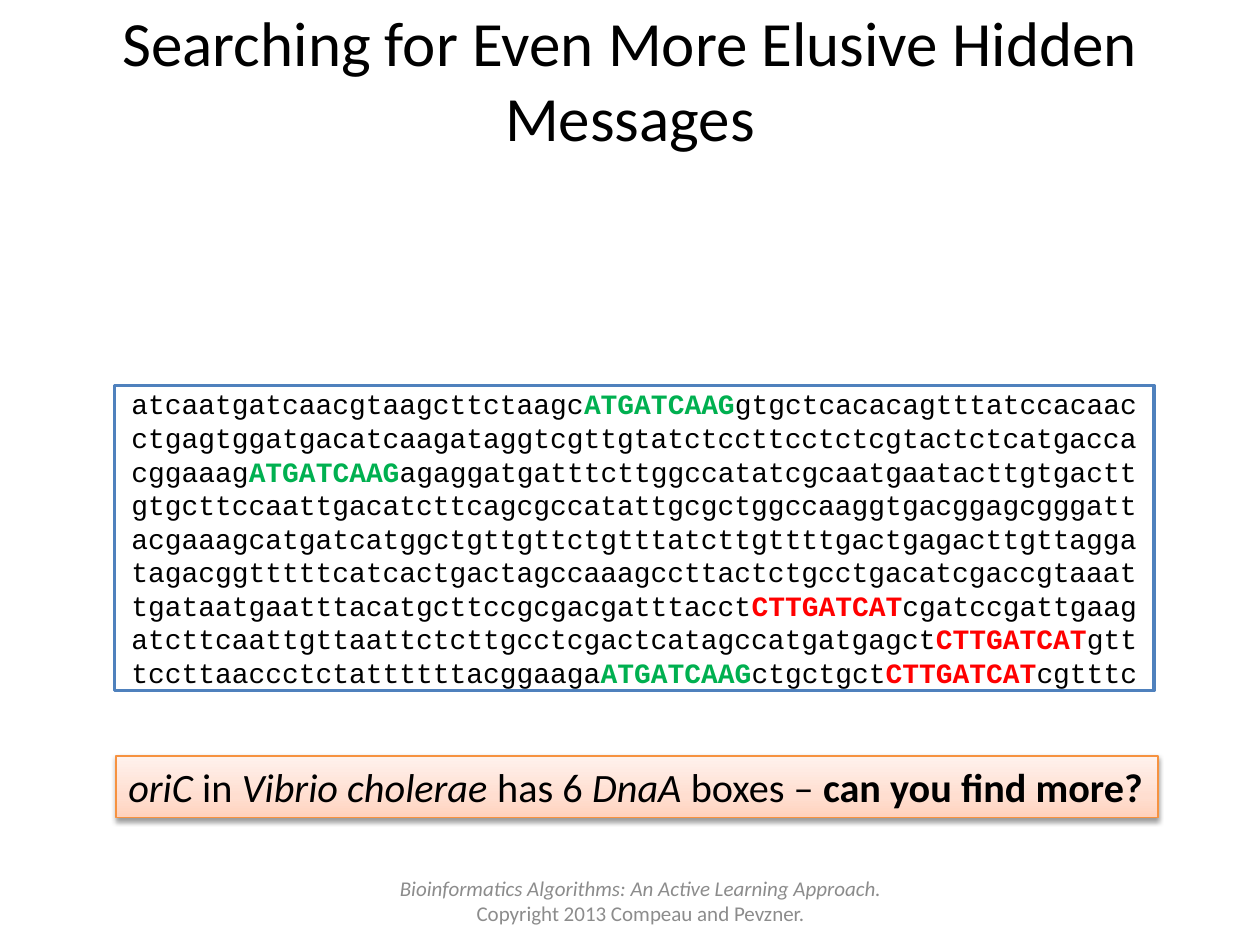
from copy import deepcopy
from itertools import groupby

from lxml import etree
from pptx import Presentation
from pptx.dml.color import RGBColor
from pptx.enum.shapes import MSO_SHAPE as Shape
from pptx.enum.text import MSO_ANCHOR as Anchor, PP_ALIGN as Align
from pptx.oxml.ns import qn
from pptx.util import Inches, Pt

SEQUENCE = """
atcaatgatcaacgtaagcttctaagcATGATCAAGgtgctcacacagtttatccacaac
ctgagtggatgacatcaagataggtcgttgtatctccttcctctcgtactctcatgacca
cggaaagATGATCAAGagaggatgatttcttggccatatcgcaatgaatacttgtgactt
gtgcttccaattgacatcttcagcgccatattgcgctggccaaggtgacggagcgggatt
acgaaagcatgatcatggctgttgttctgtttatcttgttttgactgagacttgttagga
tagacggtttttcatcactgactagccaaagccttactctgcctgacatcgaccgtaaat
tgataatgaatttacatgcttccgcgacgatttacctCTTGATCATcgatccgattgaag
atcttcaattgttaattctcttgcctcgactcatagccatgatgagctCTTGATCATgtt
tccttaaccctctattttttacggaagaATGATCAAGctgctgctCTTGATCATcgtttc
""".split()
MOTIF_COLORS = {"ATGATCAAG": "00B050", "CTTGATCAT": "FF0000"}


def color(value):
    return RGBColor.from_string(value)


def add_run(paragraph, text, ink, **formats):
    run = paragraph.add_run()
    run.text = text
    for name, value in formats.items():
        setattr(run.font, name, value)
    run.font.color.rgb = color(ink)


presentation = Presentation()
presentation.slide_width, presentation.slide_height = Inches(10), Inches(7.5)
slide = presentation.slides.add_slide(presentation.slide_layouts[6])
unit = presentation.slide_width / 100

grid = {
    "title": (5, 0, 90, 12.5),
    "question": (9.2, 60, 82.7, 4.9),
    "sequence": (9.1, 30.6, 82.5, 24.2),
    "footer": (30, 69.5, 41.7, 4),
}
frames, shapes = {}, {}
for name, cells in grid.items():
    place = [round(cell * unit) for cell in cells]
    if name in ("title", "footer"):
        shape = slide.shapes.add_textbox(*place)
    else:
        shape = slide.shapes.add_shape(Shape.RECTANGLE, *place)
        shape.shadow.inherit = False
    shapes[name], frames[name] = shape, shape.text_frame
    frames[name].word_wrap = True
    frames[name].vertical_anchor = Anchor.MIDDLE

title = frames["title"].paragraphs[0]
title.alignment = Align.CENTER
add_run(title, "Searching for Even More Elusive Hidden Messages", "000000",
        name="Calibri", size=Pt(36))

question_shape = shapes["question"]
question_shape.line.color.rgb = color("F69240")
question_shape.line.width = Pt(0.75)
fill = question_shape.fill
fill.gradient()
fill.gradient_angle = 90
first_stop = fill.gradient_stops[0]
stop_list = question_shape.element.spPr.find(qn("a:gradFill")).find(qn("a:gsLst"))
stop_list.insert(1, deepcopy(stop_list[0]))
gradient = [(0, "FFD2BD"), (0.35, "FFDED0"), (1, "FFF2ED")]
for stop, (position, shade) in zip(fill.gradient_stops, gradient):
    stop.position = position
    stop.color.rgb = color(shade)

effects = question_shape.element.spPr.find(qn("a:effectLst"))
shadow = etree.SubElement(effects, qn("a:outerShdw"), blurRad=str(Pt(3.1)),
                          dist=str(Pt(1.6)), dir="5400000", rotWithShape="0")
shadow_color = etree.SubElement(shadow, qn("a:srgbClr"), val="000000")
etree.SubElement(shadow_color, qn("a:alpha"), val="38000")

frames["question"].vertical_anchor = Anchor.TOP
question = frames["question"].paragraphs[0]
question.alignment = Align.LEFT
for text, style in [
    ("oriC ", "italic"), ("in ", None), ("Vibrio cholerae ", "italic"),
    ("has 6 ", None), ("DnaA ", "italic"), ("boxes – ", None),
    ("can you find more?", "bold"),
]:
    add_run(question, text, "000000", name="Calibri", size=Pt(23),
            italic=style == "italic", bold=style == "bold")

sequence_shape = shapes["sequence"]
sequence_shape.fill.solid()
sequence_shape.fill.fore_color.rgb = color("FFFFFF")
sequence_shape.line.color.rgb = color("4F81BD")
sequence_shape.line.width = Pt(2)
margins = {"margin_left": Pt(9.6), "margin_right": 0,
           "margin_top": 0, "margin_bottom": 0}
for side, margin in margins.items():
    setattr(frames["sequence"], side, margin)
sequence = frames["sequence"].paragraphs[0]
sequence.alignment = Align.LEFT
for index, line in enumerate(SEQUENCE):
    if index:
        sequence.add_line_break()
    for is_motif, letters in groupby(line, str.isupper):
        text = "".join(letters)
        add_run(sequence, text, MOTIF_COLORS.get(text, "000000"),
                name="Courier New", size=Pt(16), bold=is_motif)

footer = frames["footer"]
for paragraph, text, italic in [
    (footer.paragraphs[0], "Bioinformatics Algorithms: An Active Learning Approach.", True),
    (footer.add_paragraph(), "Copyright 2013 Compeau and Pevzner.", False),
]:
    paragraph.alignment = Align.CENTER
    add_run(paragraph, text, "8C8C8C", name="Calibri", size=Pt(12), italic=italic)

presentation.save("out.pptx")
